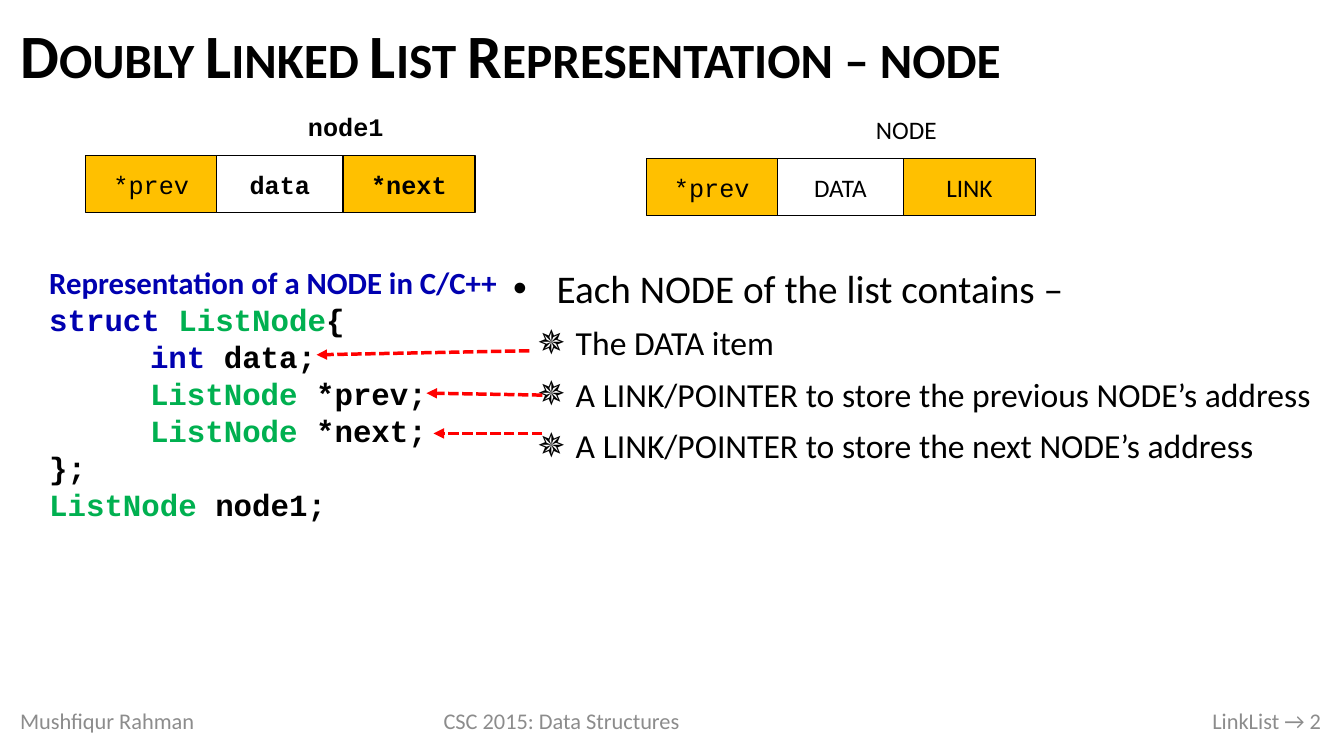
from lxml import etree
from pptx import Presentation
from pptx import util as u
from pptx.dml.color import RGBColor
from pptx.enum import dml, shapes, text
from pptx.oxml import ns

PX = 9144
BLACK = RGBColor(0x00, 0x00, 0x00)
GREY = RGBColor(0x8C, 0x8C, 0x8C)
NAVY = RGBColor(0x00, 0x00, 0xB0)
GREEN = RGBColor(0x00, 0xB0, 0x50)
AMBER = RGBColor(0xFF, 0xC0, 0x00)
RED = RGBColor(0xFF, 0x00, 0x00)
SANS, MONO = "Calibri", "Courier New"
ALIGN, ANCHOR = text.PP_ALIGN, text.MSO_ANCHOR


def write(paragraph, words, size=18, font=SANS, color=BLACK, bold=False, small_caps=False):
    run = paragraph.add_run()
    run.text = words
    run.font.size = u.Pt(size)
    run.font.name = font
    run.font.bold = bold
    run.font.color.rgb = color
    if small_caps:
        run.font._element.set("cap", "small")


class NodeSlide:
    """Draws the parts of the linked list slide in its shared style."""

    def __init__(self, deck):
        self.slide = deck.slides.add_slide(deck.slide_layouts[1])

    def place(self, holder, *area):
        holder.left, holder.top, holder.width, holder.height = (n * PX for n in area)
        frame = holder.text_frame
        frame.word_wrap = True
        frame.auto_size = text.MSO_AUTO_SIZE.NONE
        return frame

    def title(self, words, *area):
        frame = self.place(self.slide.shapes.title, *area)
        frame.vertical_anchor = ANCHOR.MIDDLE
        heading = frame.paragraphs[0]
        heading.alignment = ALIGN.LEFT
        heading.line_spacing = 0.9
        write(heading, words, size=44, bold=True, small_caps=True)

    def bullets(self, items, *area):
        frame = self.place(self.slide.placeholders[1], *area)
        frame.vertical_anchor = ANCHOR.TOP
        styles = [("•", 43, 43, 28), ("✵", 62, 38, 24)]
        for index, (level, words) in enumerate(items):
            item = frame.add_paragraph() if index else frame.paragraphs[0]
            symbol, margin, hang, size = styles[level]
            props = item._p.get_or_add_pPr()
            props.set("marL", str(margin * PX))
            props.set("indent", str(-hang * PX))
            tint = etree.SubElement(props, ns.qn("a:buClr"))
            etree.SubElement(tint, ns.qn("a:srgbClr")).set("val", str(BLACK))
            etree.SubElement(props, ns.qn("a:buChar")).set("char", symbol)
            item.level = level
            item.alignment = ALIGN.JUSTIFY
            item.space_before = u.Pt(4 if index else 0)
            item.space_after = u.Pt(4)
            write(item, words, size=size)

    def label(self, words, *area, align=ALIGN.CENTER, **style):
        box = self.slide.shapes.add_textbox(0, 0, PX, PX)
        frame = self.place(box, *area)
        frame.vertical_anchor = ANCHOR.MIDDLE
        frame.paragraphs[0].alignment = align
        write(frame.paragraphs[0], words, **style)

    def cell(self, words, *area, fill=None, **style):
        box = self.slide.shapes.add_shape(shapes.MSO_SHAPE.RECTANGLE, 0, 0, PX, PX)
        box.shadow.inherit = False
        box.line.color.rgb = BLACK
        box.line.width = u.Pt(1)
        if fill is None:
            box.fill.background()
        else:
            box.fill.solid()
            box.fill.fore_color.rgb = fill
        frame = self.place(box, *area)
        frame.vertical_anchor = ANCHOR.MIDDLE
        frame.paragraphs[0].alignment = ALIGN.CENTER
        write(frame.paragraphs[0], words, **style)

    def node(self, name, data, link, left, top, **style):
        self.label(name, left + 130, top - 57, 256, 57, **style)
        self.cell(data, left + 130, top, 125, 57, **style)
        self.cell(link, left + 255, top, 131, 57, fill=AMBER, **style)
        self.cell("*prev", left, top, 130, 57, fill=AMBER, font=MONO)

    def code(self, caption, lines, *area, tab=100):
        frame = self.place(self.slide.shapes.add_textbox(0, 0, PX, PX), *area)
        write(frame.paragraphs[0], caption, size=22, color=NAVY, bold=True)
        for line in lines:
            row = frame.add_paragraph()
            tabs = etree.SubElement(row._p.get_or_add_pPr(), ns.qn("a:tabLst"))
            stop = etree.SubElement(tabs, ns.qn("a:tab"))
            stop.set("pos", str(tab * PX))
            stop.set("algn", "l")
            for words, color in line:
                write(row, words, size=22, font=MONO, color=color, bold=True)

    def arrow(self, *ends):
        pointer = self.slide.shapes.add_connector(
            shapes.MSO_CONNECTOR.STRAIGHT, *(n * PX for n in ends))
        pointer.line.color.rgb = RED
        pointer.line.width = u.Pt(2.5)
        pointer.line.dash_style = dml.MSO_LINE.SQUARE_DOT
        stroke = pointer.line._get_or_add_ln()
        etree.SubElement(stroke, ns.qn("a:tailEnd")).set("type", "triangle")
        etree.SubElement(pointer._element.spPr, ns.qn("a:effectLst"))


def main():
    deck = Presentation()
    deck.slide_width, deck.slide_height = 1333 * PX, 750 * PX
    page = NodeSlide(deck)
    page.title("Doubly Linked List Representation – node", 10, 11, 1310, 95)
    page.bullets([
        (0, "Each NODE of the list contains –"),
        (1, "The DATA item"),
        (1, "A LINK/POINTER to store the previous NODE’s address"),
        (1, "A LINK/POINTER to store the next NODE’s address"),
    ], 499, 257, 844, 255)

    for words, left, width, align in [
        ("Mushfiqur Rahman", 10, 241, ALIGN.LEFT),
        ("CSC 2015: Data Structures", 389, 336, ALIGN.CENTER),
        ("LinkList → 2", 771, 549, ALIGN.RIGHT),
    ]:
        page.label(words, left, 695, width, 40, align=align, size=16, color=GREY)

    page.node("NODE", "DATA", "LINK", 641, 157)
    page.node("node1", "data", "*next", 85, 154, font=MONO, bold=True)

    page.code("Representation of a NODE in C/C++", [
        [("struct ", NAVY), ("ListNode", GREEN), ("{", BLACK)],
        [("\tint", NAVY), (" data;", BLACK)],
        [("\tListNode ", GREEN), ("*prev;", BLACK)],
        [("\tListNode ", GREEN), ("*next;", BLACK)],
        [("};", BLACK)],
        [("ListNode ", GREEN), ("node1;", BLACK)],
    ], 39, 257, 550, 269)

    for ends in [(525, 348, 314, 352), (538, 392, 423, 390), (538, 430, 430, 430)]:
        page.arrow(*ends)
    deck.save("out.pptx")


if __name__ == "__main__":
    main()
